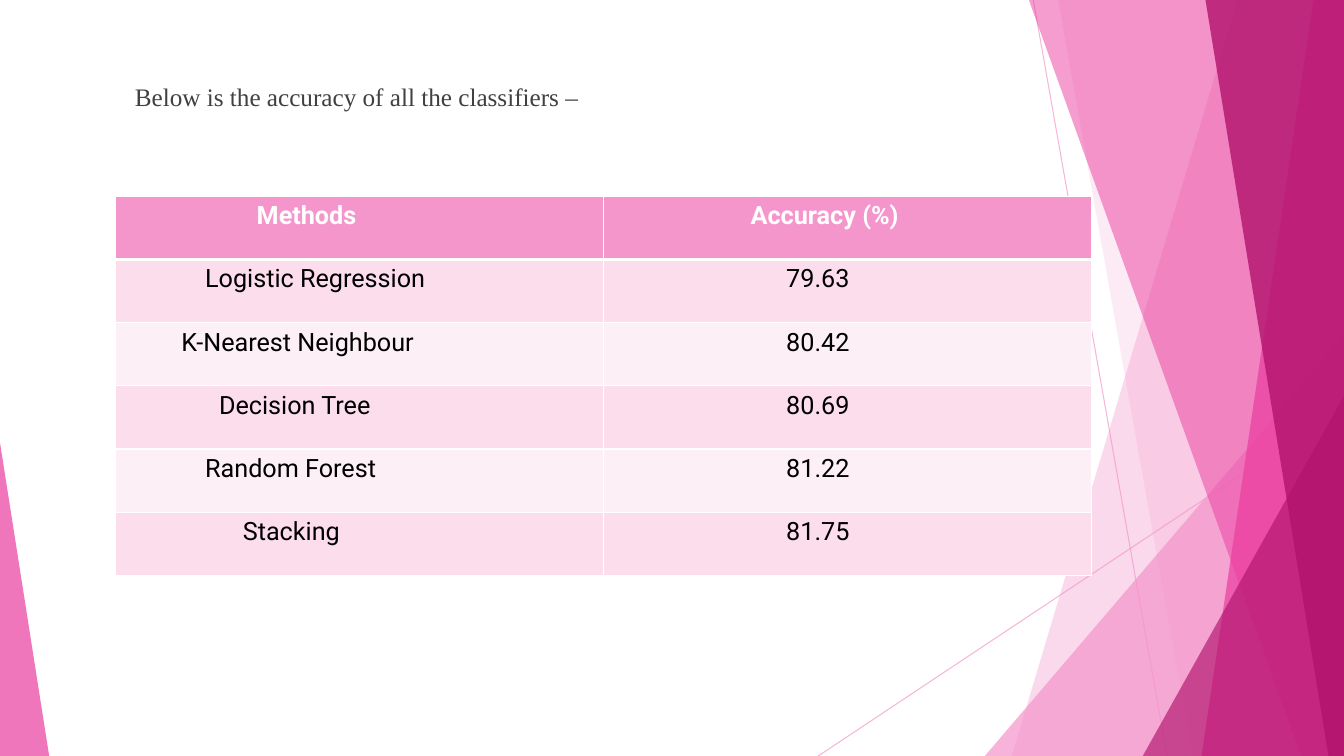
from collections import namedtuple

from lxml.etree import SubElement
from pptx import Presentation
from pptx.dml.color import RGBColor
from pptx.enum.shapes import MSO_CONNECTOR, MSO_SHAPE
from pptx.oxml.ns import qn
from pptx.util import Cm, Pt

Box = namedtuple("Box", "left top width height")

PALE_PINK, PINK, MAGENTA, WHITE = "F496CB", "EB3D9F", "B2136D", "FFFFFF"
BAND_FILLS = ("FBDDEC", "FDEFF6")

# Start and end of each thin line.
RAYS = [(26.04, 0, 29.41, 19.05), (33.87, 10.24, 20.62, 19.05)]

# Bands run from (top x, bottom x) to the right edge.
# Wedges are (x, y, corner position) and end at the bottom.
BACK_BANDS = [(31.19, 25.5, PALE_PINK, 36), (26.67, 30.05, PALE_PINK, 20)]
FRONT_BANDS = [(25.93, 32.79, PINK, 50), (33.1, 30.28, PINK, 70),
               (30.38, 33.48, MAGENTA, 80)]
BACK_WEDGE = (24.82, 8.46, 9.05, 1, PALE_PINK, 72)
FRONT_WEDGES = [(28.8, 9.98, 5.07, 1, MAGENTA, 66), (0, 11.15, 1.24, 0, PINK, 70)]

# Each cell is its text and its left indent in centimetres.
HEADER = (("Methods", 3.55), ("Accuracy (%)", 3.7))
VALUE_INDENT = 4.6
RESULTS = [
    ("Logistic Regression", 2.25, "79.63"),
    ("K-Nearest Neighbour", 1.65, "80.42"),
    ("Decision Tree", 2.6, "80.69"),
    ("Random Forest", 2.25, "81.22"),
    ("Stacking", 3.2, "81.75"),
]


def rgb(color):
    return RGBColor.from_string(color)


def set_opacity(shape, percent):
    for color in shape.element.iter(qn("a:srgbClr")):
        SubElement(color, qn("a:alpha")).set("val", str(percent * 1000))


def paint(shape, color, opacity):
    shape.shadow.inherit = False
    shape.fill.solid()
    shape.fill.fore_color.rgb = rgb(color)
    shape.line.fill.background()
    set_opacity(shape, opacity)


def add_ray(slide, box, x1, y1, x2, y2):
    ray = slide.shapes.add_connector(
        MSO_CONNECTOR.STRAIGHT, Cm(box.left + x1), Cm(box.top + y1),
        Cm(box.left + x2), Cm(box.top + y2))
    ray.line.width = Pt(0.75)
    ray.line.color.rgb = rgb(PALE_PINK)
    set_opacity(ray, 70)
    SubElement(ray.element.spPr, qn("a:effectLst"))


def add_band(slide, box, top_x, bottom_x, color, opacity):
    right, bottom = box.left + box.width, box.top + box.height
    builder = slide.shapes.build_freeform(Cm(box.left + top_x), Cm(box.top))
    builder.add_line_segments([
        (Cm(right), Cm(box.top)), (Cm(right), Cm(bottom)),
        (Cm(box.left + bottom_x), Cm(bottom))])
    paint(builder.convert_to_shape(), color, opacity)


def add_wedge(slide, box, x, y, width, apex, color, opacity):
    wedge = slide.shapes.add_shape(
        MSO_SHAPE.ISOSCELES_TRIANGLE, Cm(box.left + x), Cm(box.top + y),
        Cm(width), Cm(box.height - y))
    wedge.adjustments[0] = apex
    paint(wedge, color, opacity)


def add_backdrop(slide, box):
    """Layer the translucent facets from back to front."""
    for ray in RAYS:
        add_ray(slide, box, *ray)
    for band in BACK_BANDS:
        add_band(slide, box, *band)
    add_wedge(slide, box, *BACK_WEDGE)
    for band in FRONT_BANDS:
        add_band(slide, box, *band)
    for wedge in FRONT_WEDGES:
        add_wedge(slide, box, *wedge)


def add_intro(slide, box):
    frame = slide.shapes.add_textbox(*map(Cm, box)).text_frame
    frame.word_wrap = True
    frame.margin_left, frame.margin_top = Cm(2.79), Cm(1.68)
    paragraph = frame.paragraphs[0]
    paragraph.text = "Below is the accuracy of all the classifiers –"
    paragraph.font.name = "Times New Roman"
    paragraph.font.size = Pt(18)
    paragraph.font.color.rgb = rgb("404040")


def set_borders(cell, bottom_points):
    properties = cell._tc.get_or_add_tcPr()
    widths = {"a:lnL": 1, "a:lnR": 1, "a:lnT": 1, "a:lnB": bottom_points}
    for position, (tag, points) in enumerate(widths.items()):
        border = SubElement(properties, qn(tag), w=str(Pt(points)))
        fill = SubElement(border, qn("a:solidFill"))
        SubElement(fill, qn("a:srgbClr"), val=WHITE)
        properties.insert(position, border)


def fill_cell(cell, text, indent, fill, is_header):
    cell.margin_left = Cm(indent)
    cell.fill.solid()
    cell.fill.fore_color.rgb = rgb(fill)
    set_borders(cell, 3 if is_header else 1)
    paragraph = cell.text_frame.paragraphs[0]
    paragraph.text = text
    paragraph.font.name = "Roboto"
    paragraph.font.size = Pt(18)
    paragraph.font.bold = is_header
    paragraph.font.color.rgb = rgb(WHITE if is_header else "000000")


def add_accuracy_table(slide, box):
    rows = [HEADER] + [((method, indent), (value, VALUE_INDENT))
                       for method, indent, value in RESULTS]
    table = slide.shapes.add_table(len(rows), len(HEADER), *map(Cm, box)).table
    table.horz_banding = False
    for row_index, row in enumerate(rows):
        is_header = row_index == 0
        fill = PALE_PINK if is_header else BAND_FILLS[(row_index - 1) % 2]
        for column_index, (text, indent) in enumerate(row):
            fill_cell(table.cell(row_index, column_index), text, indent, fill, is_header)


def main():
    page = Box(0, 0, 33.87, 19.05)
    presentation = Presentation()
    presentation.slide_width = Cm(page.width)
    presentation.slide_height = Cm(page.height)
    slide = presentation.slides.add_slide(presentation.slide_layouts[6])
    add_backdrop(slide, page)
    add_intro(slide, Box(0.61, 0.36, 26.31, 17.78))
    add_accuracy_table(slide, Box(2.92, 4.95, 24.59, 9.55))
    presentation.save("out.pptx")


if __name__ == "__main__":
    main()
